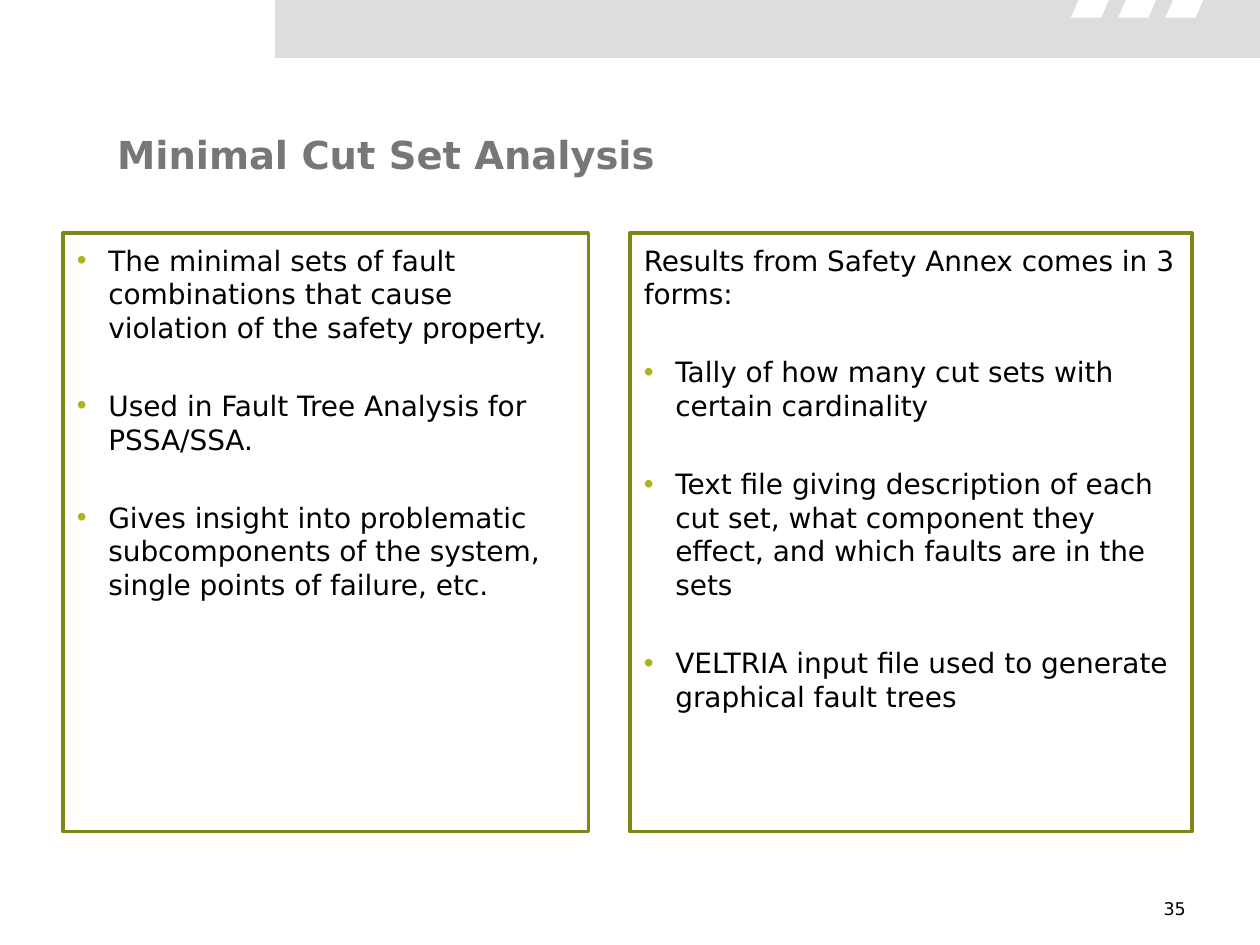
from lxml import etree
from pptx import Presentation
from pptx.dml.color import RGBColor
from pptx.enum.shapes import MSO_SHAPE
from pptx.enum.text import MSO_ANCHOR, MSO_AUTO_SIZE, PP_ALIGN
from pptx.oxml.ns import qn
from pptx.util import Inches, Pt

RECTANGLE = MSO_SHAPE.RECTANGLE
MIDDLE = MSO_ANCHOR.MIDDLE
NO_AUTOFIT = MSO_AUTO_SIZE.NONE
LEFT, RIGHT = PP_ALIGN.LEFT, PP_ALIGN.RIGHT

THEME = {
    "font": "DejaVu Sans",
    "title": RGBColor(0x77, 0x77, 0x77),
    "text": RGBColor(0, 0, 0),
    "bullet": "ABB41D",
    "frame": RGBColor(0x7F, 0x85, 0x15),
    "band": RGBColor(0xDD, 0xDD, 0xDD),
    "white": RGBColor(0xFF, 0xFF, 0xFF),
    "title_size": Pt(22),
    "body_size": Pt(16),
    "number_size": Pt(10),
    "gap": Pt(25.5),
    "line": Pt(2),
}

# Each column: left, text width, frame width, (text, bulleted) paragraphs
COLUMNS = [
    (0.5, 4.17, 4.17, [
        ("The minimal sets of fault combinations that cause violation of the safety property.", True),
        ("Used in Fault Tree Analysis for PSSA/SSA.", True),
        ("Gives insight into problematic subcomponents of the system, single points of failure, etc.", True),
    ]),
    (5, 4.5, 4.46, [
        ("Results from Safety Annex comes in 3 forms:", False),
        ("Tally of how many cut sets with certain cardinality", True),
        ("Text file giving description of each cut set, what component they effect, "
         "and which faults are in the sets", True),
        ("VELTRIA input file used to generate graphical fault trees", True),
    ]),
]


def style(paragraph, size, color, align=LEFT, bold=False):
    paragraph.alignment = align
    paragraph.font.name = THEME["font"]
    paragraph.font.size = size
    paragraph.font.bold = bold
    paragraph.font.color.rgb = color


def add_outline(points, color):
    builder = slide.shapes.build_freeform(
        Inches(points[0][0]), Inches(points[0][1]))
    builder.add_line_segments([(Inches(x), Inches(y)) for x, y in points[1:]])
    outline = builder.convert_to_shape()
    outline.shadow.inherit = False
    outline.fill.solid()
    outline.fill.fore_color.rgb = color
    outline.line.fill.background()


prs = Presentation()
prs.slide_width, prs.slide_height = Inches(10), Inches(7.5)
slide = prs.slides.add_slide(prs.slide_layouts.get_by_name("Two Content"))
title, *bodies = slide.placeholders

# Header band with three slanted tabs
add_outline([(1.92, 0.46), (10, 0.46), (10, 0), (2.12, 0)], THEME["band"])
for tab in range(3):
    x = 8.5 + tab * 0.375
    add_outline([(x, 0.14), (x + 0.06, 0), (x + 0.3, 0), (x + 0.24, 0.14)], THEME["white"])

header_cover = slide.shapes.add_shape(
    RECTANGLE, 0, Inches(0.01), Inches(2.17), Inches(0.48))
header_cover.shadow.inherit = False
header_cover.fill.solid()
header_cover.fill.fore_color.rgb = THEME["white"]
header_cover.line.color.rgb = THEME["white"]
header_cover.line.width = THEME["line"]

# Title
title.left, title.top = Inches(0.83), Inches(0.95)
title.width, title.height = Inches(8.5), Inches(0.55)
title.text_frame.text = "Minimal Cut Set Analysis"
title.text_frame.auto_size = NO_AUTOFIT
title.text_frame.vertical_anchor = MIDDLE
style(title.text_frame.paragraphs[0], THEME["title_size"], THEME["title"], bold=True)

# Framed text columns
for body, (left, text_width, frame_width, points) in zip(bodies, COLUMNS):
    body.left, body.top = Inches(left), Inches(1.88)
    body.width, body.height = Inches(text_width), Inches(5.21)
    body.text_frame.text = "\n".join(text for text, _ in points)
    body.text_frame.auto_size = NO_AUTOFIT
    for paragraph, (_, bulleted) in zip(body.text_frame.paragraphs, points):
        style(paragraph, THEME["body_size"], THEME["text"])
        paragraph.space_before = Pt(0)
        paragraph.space_after = THEME["gap"]
        properties = paragraph._p.get_or_add_pPr()
        properties.set("marL", str(Inches(0.26 if bulleted else 0.01)))
        properties.set("indent", str(Inches(-0.25 if bulleted else 0)))
        if bulleted:
            bullet_color = etree.SubElement(properties, qn("a:buClr"))
            etree.SubElement(bullet_color, qn("a:srgbClr"), val=THEME["bullet"])
            etree.SubElement(properties, qn("a:buChar"), char="•")
        else:
            etree.SubElement(properties, qn("a:buNone"))
        # Default run properties come last in the schema order
        properties.append(properties.find(qn("a:defRPr")))

    frame = slide.shapes.add_shape(
        RECTANGLE, Inches(left), Inches(1.85), Inches(frame_width), Inches(4.75))
    frame.shadow.inherit = False
    frame.fill.background()
    frame.line.color.rgb = THEME["frame"]
    frame.line.width = THEME["line"]

# Slide number
number = slide.shapes.add_textbox(Inches(8.58), Inches(7.08), Inches(0.93), Inches(0.27))
number.text_frame.word_wrap = True
number.text_frame.text = "35"
style(number.text_frame.paragraphs[0], THEME["number_size"], THEME["text"], RIGHT)

prs.save("out.pptx")
